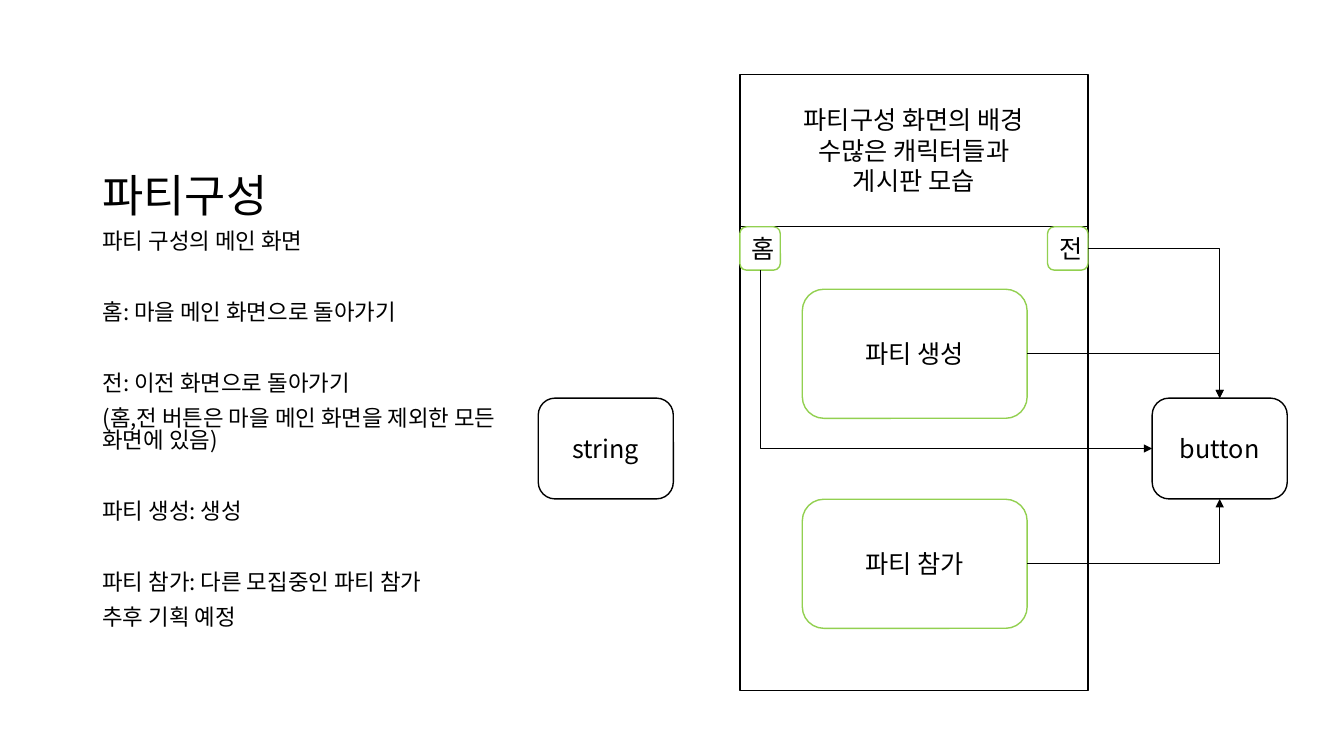
from dataclasses import dataclass

from pptx import Presentation
from pptx.dml.color import RGBColor
from pptx.enum.shapes import MSO_CONNECTOR, MSO_SHAPE
from pptx.enum.text import MSO_ANCHOR, MSO_AUTO_SIZE, PP_ALIGN
from pptx.oxml.ns import qn
from pptx.shapes.autoshape import Shape
from pptx.shapes.connector import Connector
from pptx.slide import Slide
from pptx.text.text import TextFrame
from pptx.util import Pt
from lxml import etree

FONT = "Noto Sans CJK KR"
BLACK, WHITE, GREEN = "000000", "FFFFFF", "92D050"
RECTANGLE, ROUNDED = MSO_SHAPE.RECTANGLE, MSO_SHAPE.ROUNDED_RECTANGLE
STRAIGHT, ELBOW = MSO_CONNECTOR.STRAIGHT, MSO_CONNECTOR.ELBOW
LEFT, CENTER = PP_ALIGN.LEFT, PP_ALIGN.CENTER
TOP, MIDDLE, BOTTOM = MSO_ANCHOR.TOP, MSO_ANCHOR.MIDDLE, MSO_ANCHOR.BOTTOM
NO_AUTOFIT, GROW = MSO_AUTO_SIZE.NONE, MSO_AUTO_SIZE.SHAPE_TO_FIT_TEXT
SITE_TOP, SITE_LEFT, SITE_BOTTOM, SITE_RIGHT = range(4)

SCREEN_LEFT, SCREEN_TOP, SCREEN_WIDTH, SCREEN_HEIGHT = 528.5, 53.3, 248.7, 440
SCREEN_RIGHT = SCREEN_LEFT + SCREEN_WIDTH
HEADER_BOTTOM = 162
TEXT_LEFT, TEXT_WIDTH = 66, 309.6
PARTY_LEFT, PARTY_SIZE = 573.1, (160.6, 92.2)
TAB_SIZE = (28.9, 31)
TYPE_TOP, TYPE_SIZE = 284.4, (96.5, 72)
LINE_GAP, SECTION_GAP = 10, 35.4


@dataclass(frozen=True)
class Box:
    text: str
    left: float
    top: float
    size: tuple[float, float]
    line: str


@dataclass(frozen=True)
class Arrow:
    start: str
    start_site: int
    end_site: int


@dataclass(frozen=True)
class Line:
    text: str
    space_before: float = 0


BOXES = (
    Box("파티 생성", PARTY_LEFT, 206.6, PARTY_SIZE, GREEN),
    Box("파티 참가", PARTY_LEFT, 356.6, PARTY_SIZE, GREEN),
    Box("홈", SCREEN_LEFT, HEADER_BOTTOM, TAB_SIZE, GREEN),
    Box("전", SCREEN_RIGHT - TAB_SIZE[0], HEADER_BOTTOM, TAB_SIZE, GREEN),
    Box("button", 823, TYPE_TOP, TYPE_SIZE, BLACK),
    Box("string", 384.5, TYPE_TOP, TYPE_SIZE, BLACK),
)
ARROWS = (
    Arrow("전", SITE_RIGHT, SITE_TOP),
    Arrow("파티 생성", SITE_RIGHT, SITE_TOP),
    Arrow("파티 참가", SITE_RIGHT, SITE_BOTTOM),
    Arrow("홈", SITE_BOTTOM, SITE_LEFT),
)
DESCRIPTION = (
    Line("파티 구성의 메인 화면", LINE_GAP),
    Line("홈: 마을 메인 화면으로 돌아가기", SECTION_GAP),
    Line("전: 이전 화면으로 돌아가기", SECTION_GAP),
    Line("(홈,전 버튼은 마을 메인 화면을 제외한 모든 화면에 있음)", LINE_GAP),
    Line("파티 생성: 생성", SECTION_GAP),
    Line("파티 참가: 다른 모집중인 파티 참가", SECTION_GAP),
    Line("추후 기획 예정", LINE_GAP),
)
HEADER = (
    Line("파티구성 화면의 배경"),
    Line("수많은 캐릭터들과"),
    Line("게시판 모습"),
)


def color(value: str) -> RGBColor:
    return RGBColor.from_string(value)


def write_text(frame: TextFrame, lines: tuple[Line, ...], *, size: float = 18,
               align: PP_ALIGN = CENTER, anchor: MSO_ANCHOR = MIDDLE,
               spacing: float = 1.0, wrap: bool = True,
               auto_size: MSO_AUTO_SIZE = NO_AUTOFIT) -> None:
    frame.auto_size = auto_size
    frame.word_wrap = wrap
    frame.vertical_anchor = anchor
    for index, line in enumerate(lines):
        paragraph = frame.add_paragraph() if index else frame.paragraphs[0]
        paragraph.alignment = align
        paragraph.line_spacing = spacing
        paragraph.space_before = Pt(line.space_before)
        properties = paragraph._p.get_or_add_pPr()
        properties.set("marL", "0")
        properties.set("indent", "0")
        etree.SubElement(properties, qn("a:buNone"))
        run = paragraph.add_run()
        run.text = line.text
        run.font.size = Pt(size)
        run.font.name = FONT
        run.font.color.rgb = color(BLACK)
        east_asian = etree.SubElement(run._r.get_or_add_rPr(), qn("a:ea"))
        east_asian.set("typeface", FONT)


def place(shape: Shape, left: float, top: float, width: float, height: float) -> None:
    shape.left, shape.top = Pt(left), Pt(top)
    shape.width, shape.height = Pt(width), Pt(height)


def add_screen(slide: Slide) -> None:
    screen = slide.shapes.add_shape(
        RECTANGLE, Pt(SCREEN_LEFT), Pt(SCREEN_TOP), Pt(SCREEN_WIDTH), Pt(SCREEN_HEIGHT))
    screen.shadow.inherit = False
    screen.fill.background()
    screen.line.color.rgb = color(BLACK)
    screen.line.width = Pt(1)
    divider = slide.shapes.add_connector(
        STRAIGHT, Pt(SCREEN_LEFT), Pt(HEADER_BOTTOM), Pt(SCREEN_RIGHT), Pt(HEADER_BOTTOM))
    style_connector(divider)
    header = slide.shapes.add_textbox(Pt(557.3), Pt(71.3), Pt(190.8), Pt(72.7))
    write_text(header.text_frame, HEADER, anchor=TOP, wrap=False, auto_size=GROW)


def add_box(slide: Slide, box: Box) -> Shape:
    shape = slide.shapes.add_shape(
        ROUNDED, Pt(box.left), Pt(box.top), Pt(box.size[0]), Pt(box.size[1]))
    shape.shadow.inherit = False
    shape.fill.solid()
    shape.fill.fore_color.rgb = color(WHITE)
    shape.line.color.rgb = color(box.line)
    shape.line.width = Pt(1)
    write_text(shape.text_frame, (Line(box.text),))
    return shape


def style_connector(connector: Connector) -> None:
    connector.line.color.rgb = color(BLACK)
    connector.line.width = Pt(0.5)
    etree.SubElement(connector._element.spPr, qn("a:effectLst"))


def add_arrow(slide: Slide, arrow: Arrow, start: Shape, end: Shape) -> None:
    """Join two shapes by an arrow with a single right-angled bend."""
    connector = slide.shapes.add_connector(ELBOW, Pt(0), Pt(0), Pt(0), Pt(0))
    connector.begin_connect(start, arrow.start_site)
    connector.end_connect(end, arrow.end_site)
    style_connector(connector)
    properties = connector._element.spPr
    properties.find(qn("a:prstGeom")).set("prst", "bentConnector2")
    tail = etree.SubElement(connector.line._get_or_add_ln(), qn("a:tailEnd"))
    tail.set("type", "triangle")
    if arrow.start_site == SITE_BOTTOM:
        # A bend that runs down first is a mirrored bend turned by 270 degrees.
        width, height = connector.width, connector.height
        connector.left += (width - height) // 2
        connector.top += (height - width) // 2
        connector.width, connector.height = height, width
        frame = properties.find(qn("a:xfrm"))
        frame.set("rot", str(270 * 60000))
        frame.set("flipH", "1")


def main() -> None:
    presentation = Presentation()
    presentation.slide_width, presentation.slide_height = Pt(960), Pt(540)
    slide = presentation.slides.add_slide(presentation.slide_layouts[1])
    title, body = slide.placeholders
    place(title, TEXT_LEFT, 36, TEXT_WIDTH, 126)
    write_text(title.text_frame, (Line("파티구성"),), size=32, align=LEFT,
               anchor=BOTTOM, spacing=0.9)
    place(body, TEXT_LEFT, 162, TEXT_WIDTH, 300)
    write_text(body.text_frame, DESCRIPTION, size=16, align=LEFT,
               anchor=TOP, spacing=0.8)
    add_screen(slide)
    shapes = {box.text: add_box(slide, box) for box in BOXES}
    for arrow in ARROWS:
        add_arrow(slide, arrow, shapes[arrow.start], shapes["button"])
    presentation.save("out.pptx")


if __name__ == "__main__":
    main()
